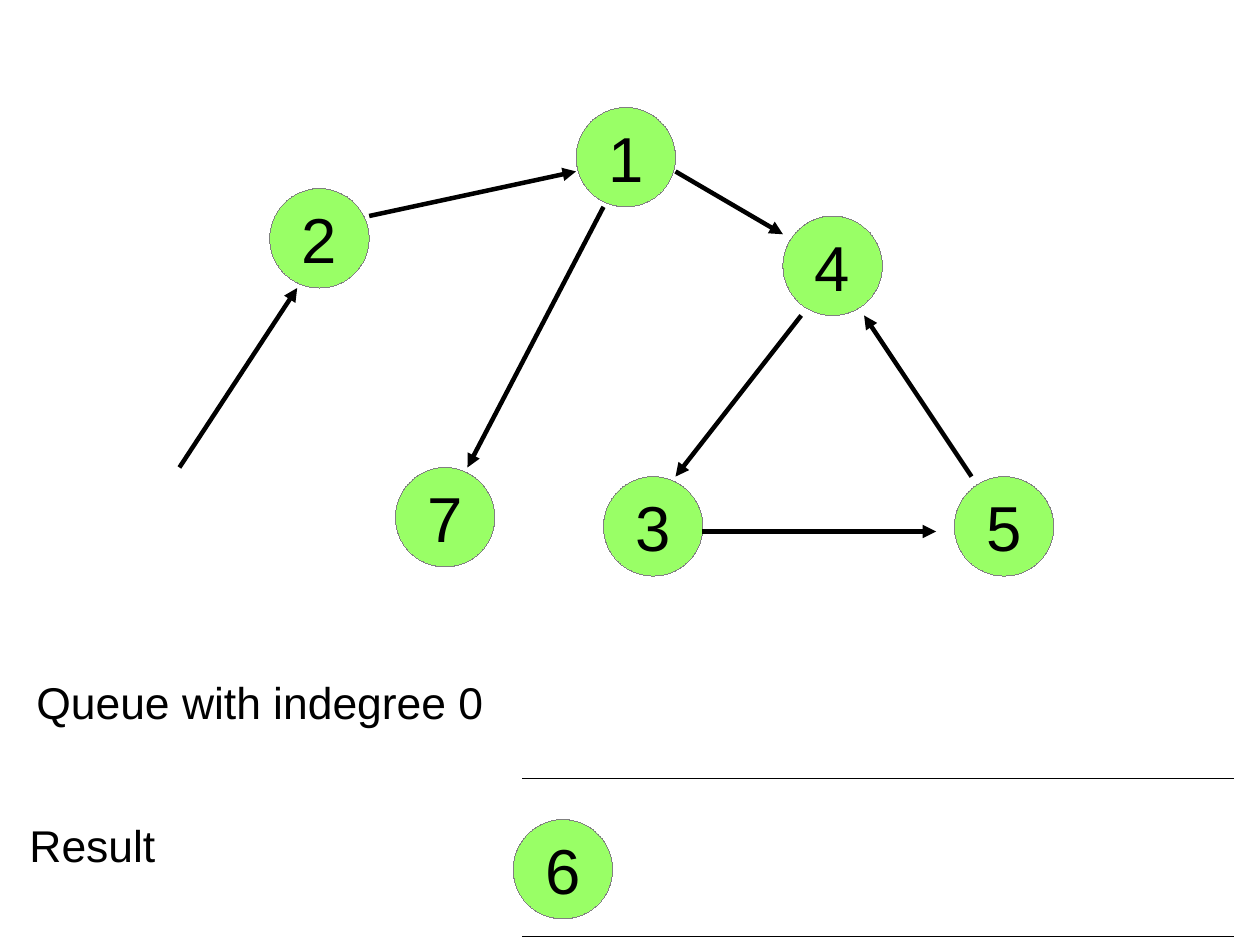
from lxml.etree import SubElement
from pptx import Presentation
from pptx.dml.color import RGBColor
from pptx.enum.shapes import MSO_CONNECTOR, MSO_SHAPE
from pptx.enum.text import MSO_ANCHOR, MSO_AUTO_SIZE, PP_ALIGN
from pptx.oxml.ns import qn
from pptx.util import Inches, Pt

GREEN = RGBColor(0x99, 0xFF, 0x66)
GRAY = RGBColor(0x80, 0x80, 0x80)
BLACK = RGBColor(0, 0, 0)

CM_PER_INCH = 2.54
WIDTH = 28 / CM_PER_INCH
HEIGHT = 21 / CM_PER_INCH

NODES = {
    "1": (5.04, 0.94),
    "2": (2.36, 1.65),
    "7": (3.46, 4.09),
    "3": (5.28, 4.17),
    "5": (8.35, 4.17),
    "4": (6.85, 1.89),
    "6": (4.49, 7.17),
}
EDGES = [
    ((3.23, 1.89), (5.04, 1.5)),
    ((5.91, 1.5), (6.85, 2.05)),
    ((7.01, 2.76), (5.91, 4.17)),
    ((8.5, 4.17), (7.56, 2.76)),
    ((6.14, 4.65), (8.19, 4.65)),
    ((5.28, 1.81), (4.09, 4.09)),
    ((1.57, 4.09), (2.6, 2.52)),
]
LABELS = [
    ("Queue with indegree 0", 0.22, 5.86, 4.11),
    ("Result", 0.16, 7.11, 1.3),
]
RULES = [6.81, 8.19]


def write(frame, text, size=28, color=BLACK, font="Arial", align=PP_ALIGN.LEFT):
    line = frame.paragraphs[0]
    line.alignment = align
    run = line.add_run()
    run.text = text
    run.font.size = Pt(size)
    run.font.name = font
    run.font.color.rgb = color


class Board:
    node_size = 0.87
    label_height = 0.53
    edge_width = 2.83

    def __init__(self, slide):
        self.shapes = slide.shapes

    def stroke(self, shape, color, width=0):
        shape.line.color.rgb = color
        outline = shape._element.spPr.find(qn("a:ln"))
        outline.set("w", str(Pt(width)))
        return outline

    def node(self, text, left, top):
        size = Inches(self.node_size)
        disc = self.shapes.add_shape(
            MSO_SHAPE.OVAL, Inches(left), Inches(top), size, size)
        disc.shadow.inherit = False
        disc.fill.solid()
        disc.fill.fore_color.rgb = GREEN
        self.stroke(disc, GRAY)
        disc.text_frame.vertical_anchor = MSO_ANCHOR.MIDDLE
        write(disc.text_frame, text, size=40, align=PP_ALIGN.CENTER)

    def line(self, start, end, width=0):
        link = self.shapes.add_connector(
            MSO_CONNECTOR.STRAIGHT, *map(Inches, start + end))
        outline = self.stroke(link, BLACK, width)
        SubElement(link._element.spPr, qn("a:effectLst"))
        return outline

    def arrow(self, start, end):
        outline = self.line(start, end, self.edge_width)
        SubElement(outline, qn("a:tailEnd"), type="triangle")

    def label(self, text, left, top, width):
        box = self.shapes.add_textbox(
            Inches(left), Inches(top), Inches(width), Inches(self.label_height))
        box.text_frame.word_wrap = False
        box.text_frame.auto_size = MSO_AUTO_SIZE.SHAPE_TO_FIT_TEXT
        write(box.text_frame, text)


def main():
    deck = Presentation()
    deck.slide_width = Inches(WIDTH)
    deck.slide_height = Inches(HEIGHT)
    board = Board(deck.slides.add_slide(deck.slide_layouts[6]))
    for text, place in NODES.items():
        board.node(text, *place)
    for start, end in EDGES:
        board.arrow(start, end)
    for label in LABELS:
        board.label(*label)
    for top in RULES:
        board.line((4.57, top), (10.79, top))
    deck.save("out.pptx")


if __name__ == "__main__":
    main()
